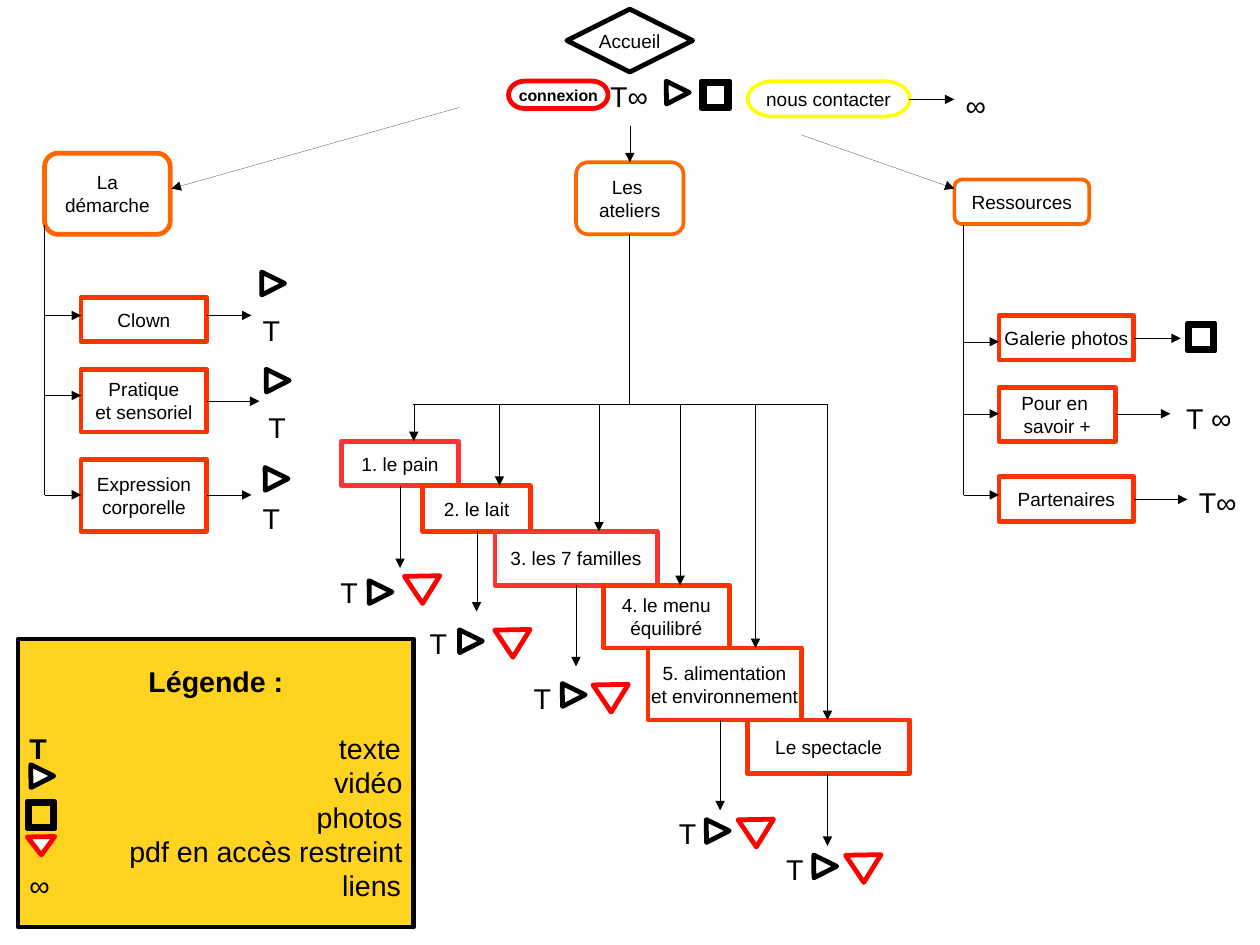
from dataclasses import dataclass

from lxml import etree
from pptx import Presentation
from pptx.dml.color import RGBColor
from pptx.enum import shapes, text
from pptx.oxml import ns
from pptx.util import Inches, Pt

KIND = shapes.MSO_SHAPE
ALIGN = text.PP_ALIGN


@dataclass(frozen=True)
class Theme:
    font: str = "Arial"
    black: str = "000000"
    white: str = "FFFFFF"
    section: str = "FF6600"
    page: str = "FF3300"
    page_alt: str = "FF3333"
    contact: str = "FFFF00"
    restricted: str = "FF0000"
    legend: str = "FFD320"
    small: int = 10
    body: int = 12
    symbol: int = 18
    thin: float = 2.3
    thick: float = 3


def write(frame, lines, theme, size, bold=False, align=ALIGN.CENTER, wrap=False):
    frame.word_wrap = wrap
    for index, line in enumerate(lines.split("\n")):
        paragraph = frame.paragraphs[0] if index == 0 else frame.add_paragraph()
        paragraph.alignment = align
        head, tab, tail = line.partition("\t")
        for piece in filter(None, (head, tab + tail)):
            run = paragraph.add_run()
            run.text = piece
            run.font.name = theme.font
            run.font.size = Pt(size)
            run.font.bold = bold
            run.font.color.rgb = RGBColor.from_string(theme.black)


class SiteMap:
    def __init__(self, slide, theme):
        self.slide = slide
        self.theme = theme

    def shape(self, kind, left, top, width, height, line, weight=None, fill=None):
        shape = self.slide.shapes.add_shape(
            kind, Inches(left), Inches(top), Inches(width), Inches(height))
        shape.shadow.inherit = False
        shape.fill.solid()
        shape.fill.fore_color.rgb = RGBColor.from_string(fill or self.theme.white)
        shape.line.color.rgb = RGBColor.from_string(line)
        shape.line.width = Pt(weight or self.theme.thick)
        return shape

    def box(self, label, left, top, width, height, line=None, weight=None,
            kind=KIND.FLOWCHART_PROCESS, fill=None, size=None, margin=0.12, **style):
        shape = self.shape(kind, left, top, width, height,
                           line or self.theme.page, weight, fill)
        frame = shape.text_frame
        frame.vertical_anchor = text.MSO_ANCHOR.MIDDLE
        frame.margin_left = frame.margin_right = Inches(margin)
        frame.margin_top = frame.margin_bottom = Inches(0.07)
        write(frame, label, self.theme, size or self.theme.body, **style)
        return shape

    def symbol(self, label, left, top, width=0.35):
        shape = self.slide.shapes.add_textbox(
            Inches(left), Inches(top), Inches(width), Inches(0.38))
        write(shape.text_frame, label, self.theme, self.theme.symbol, align=ALIGN.LEFT)
        shape.text_frame.auto_size = text.MSO_AUTO_SIZE.SHAPE_TO_FIT_TEXT

    def video(self, left, top):
        shape = self.shape(KIND.ISOSCELES_TRIANGLE, left, top, 0.2, 0.2, self.theme.black)
        shape.rotation = 89.5

    def pdf(self, left, top, width=0.31, height=0.24):
        shape = self.shape(KIND.ISOSCELES_TRIANGLE, left, top, width, height,
                           self.theme.restricted)
        shape.rotation = 179

    def photo(self, left, top):
        shape = self.shape(KIND.FRAME, left, top, 0.24, 0.24, self.theme.black)
        shape.adjustments[0] = 0.093

    def line(self, x1, y1, x2, y2, arrow=True):
        connector = self.slide.shapes.add_connector(
            shapes.MSO_CONNECTOR.STRAIGHT,
            Inches(x1), Inches(y1), Inches(x2), Inches(y2))
        connector.line.color.rgb = RGBColor.from_string(self.theme.black)
        outline = connector.line._get_or_add_ln()
        outline.set("w", "0")
        if arrow:
            etree.SubElement(outline, ns.qn("a:tailEnd"), type="triangle")
        etree.SubElement(connector._element.spPr, ns.qn("a:effectLst"))


def draw_header(site):
    theme = site.theme
    site.box("Accueil", 4.96, 0.08, 1.1, 0.55, theme.black, kind=KIND.FLOWCHART_DECISION)
    site.symbol("T∞", 5.24, 0.64, 0.59)
    site.box("connexion", 4.45, 0.71, 0.87, 0.24, theme.restricted,
             kind=KIND.FLOWCHART_TERMINATOR, size=theme.small, bold=True)
    site.video(5.83, 0.71)
    site.photo(6.14, 0.71)
    site.box("nous contacter", 6.54, 0.71, 1.42, 0.31, theme.contact, theme.thin,
             kind=KIND.FLOWCHART_TERMINATOR)
    site.line(7.95, 0.87, 8.35, 0.87)
    site.symbol("∞", 8.35, 0.72, 0.38)
    for label, left, top, width, height, weight in (
            ("La\ndémarche", 0.39, 1.34, 1.1, 0.71, theme.thick),
            ("Les \nateliers", 5.04, 1.42, 0.94, 0.63, theme.thin),
            ("Ressources", 8.35, 1.57, 1.18, 0.39, theme.thin)):
        site.box(label, left, top, width, height, theme.section, weight,
                 kind=KIND.FLOWCHART_ALTERNATE_PROCESS)
    site.line(4.02, 0.94, 1.5, 1.65)
    site.line(5.51, 1.1, 5.51, 1.42)
    site.line(7.01, 1.18, 8.35, 1.65)


def draw_approach(site):
    trunk, left, width = 0.39, 0.71, 1.1
    site.line(trunk, 1.97, trunk, 4.33, arrow=False)
    for label, top, height, entry, leave, end, video, letter in (
            ("Clown", 2.6, 0.39, 2.76, 2.76, 2.2, (2.29, 2.38), (2.2, 2.69)),
            ("Pratique\net sensoriel", 3.23, 0.55, 3.46, 3.51, 2.27,
             (2.33, 3.23), (2.25, 3.54)),
            ("Expression\ncorporelle", 4.02, 0.63, 4.33, 4.33, 2.2,
             (2.32, 4.09), (2.2, 4.33))):
        site.box(label, left, top, width, height)
        site.line(trunk, entry, left, entry)
        site.line(left + width, leave, end, leave)
        site.video(*video)
        site.symbol("T", *letter)


def draw_workshops(site):
    theme = site.theme
    rail, top = 3.54, 3.86
    site.line(5.51, 2.05, 5.51, rail, arrow=False)
    site.line(3.62, rail, 7.24, rail, arrow=False)
    for label, left, width, height, colour, entry, leave in (
            ("1. le pain", 2.99, 1.02, 0.39, theme.page_alt, 3.62, (3.5, 4.97)),
            ("2. le lait", 3.7, 0.94, 0.4, theme.page, 4.37, (4.17, 5.35)),
            ("3. les 7 familles", 4.33, 1.42, 0.47, theme.page_alt, 5.24, (5.04, 5.83)),
            ("4. le menu\néquilibré", 5.28, 1.1, 0.55, theme.page, 5.95, None),
            ("5. alimentation\net environnement", 5.67, 1.34, 0.63, theme.page, 6.61,
             (6.3, 7.09)),
            ("Le spectacle", 6.54, 1.42, 0.47, theme.page, 7.24, (7.24, 7.4))):
        site.box(label, left, top, width, height, colour)
        site.line(entry, rail, entry, top)
        top += height
        if leave:
            site.line(leave[0], top, *leave)
    for letter, video, pdf in (
            ((2.88, 4.98), (3.23, 5.08), (3.54, 5.04)),
            ((3.66, 5.43), (4.02, 5.51), (4.33, 5.51)),
            ((4.57, 5.91), (4.92, 5.98), (5.19, 5.99)),
            ((5.84, 7.09), (6.18, 7.17), (6.46, 7.17)),
            ((6.78, 7.4), (7.12, 7.48), (7.4, 7.48))):
        site.symbol("T", *letter)
        site.video(*video)
        site.pdf(*pdf)


def draw_resources(site):
    trunk, left = 8.43, 8.74
    site.line(trunk, 1.97, trunk, 4.33, arrow=False)
    for label, top, width, height, entry, leave, end in (
            ("Galerie photos", 2.76, 1.18, 0.39, 2.99, 2.96, 10.33),
            ("Pour en \nsavoir +", 3.39, 1.02, 0.47, 3.62, 3.62, 10.24),
            ("Partenaires", 4.17, 1.18, 0.39, 4.33, 4.37, 10.39)):
        site.box(label, left, top, width, height)
        site.line(trunk, entry, left, entry)
        site.line(left + width, leave, end, leave)
    site.photo(10.39, 2.83)
    site.symbol("T ∞", 10.28, 3.46, 0.6)
    site.symbol("T∞", 10.39, 4.19, 0.53)


def draw_legend(site):
    theme = site.theme
    legend = site.box(
        "Légende\u00a0:\nT\ttexte\nvidéo\nphotos\npdf en accès restreint\n∞\tliens",
        0.16, 5.59, 3.46, 2.52, theme.black, 2.83, fill=theme.legend,
        size=theme.symbol, margin=0.1, align=ALIGN.RIGHT, wrap=True)
    title, letter, *_, links = legend.text_frame.paragraphs
    title.alignment = ALIGN.CENTER
    title.space_after = Pt(21)
    for paragraph in (title, letter):
        paragraph.runs[0].font.bold = True
    for paragraph in (letter, links):
        paragraph.alignment = ALIGN.LEFT
        stops = etree.SubElement(paragraph._p.get_or_add_pPr(), ns.qn("a:tabLst"))
        etree.SubElement(stops, ns.qn("a:tab"), pos=str(Inches(3.25)), algn="r")
    site.video(0.27, 6.69)
    site.photo(0.24, 7.01)
    site.pdf(0.24, 7.32, 0.24, 0.16)


def main():
    presentation = Presentation()
    presentation.slide_width = Inches(28 / 2.54)
    presentation.slide_height = Inches(21 / 2.54)
    slide = presentation.slides.add_slide(presentation.slide_layouts[6])
    site = SiteMap(slide, Theme())
    for draw in (draw_header, draw_approach, draw_workshops, draw_resources, draw_legend):
        draw(site)
    presentation.save("out.pptx")


if __name__ == "__main__":
    main()
